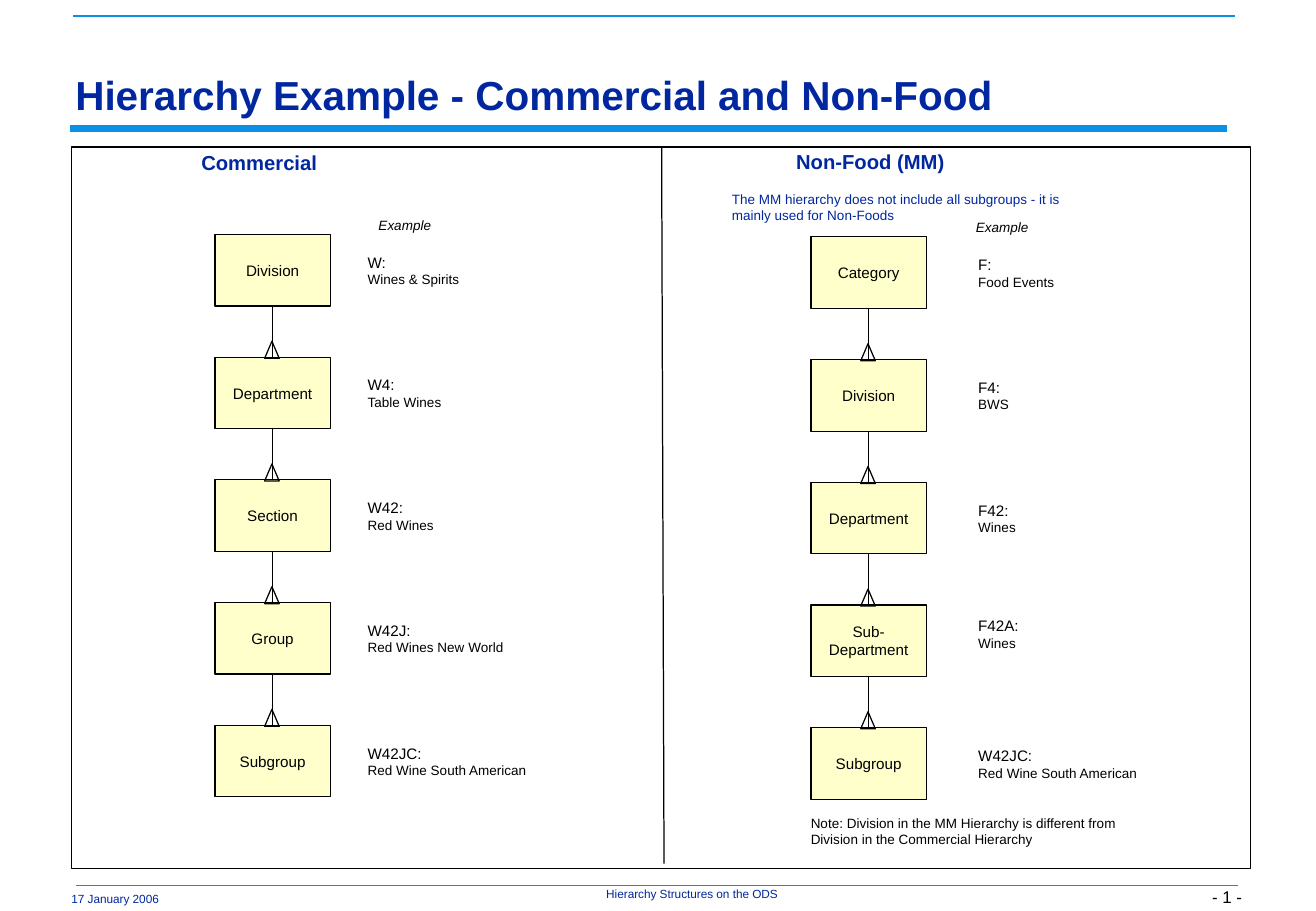
from lxml.etree import SubElement
from pptx import Presentation
from pptx.dml.color import RGBColor
from pptx.enum.shapes import MSO_CONNECTOR as CONN, MSO_SHAPE as SHAPE
from pptx.enum.text import MSO_ANCHOR as ANCHOR, PP_ALIGN as ALIGN
from pptx.oxml.ns import qn
from pptx.util import Pt

PX = 9144  # EMU per px, 100 px to the inch
COLORS = {"ink": "000000", "navy": "00279F", "sky": "0A91E6", "box": "FFFFCC"}
FONT = "Arial"
BOX_W, BOX_H, STEP = 95, 59, 101
TRI_W, TRI_H = 12, 14

COMMERCIAL = [
    ("Division", "W:", "Wines & Spirits"),
    ("Department", "W4:", "Table Wines"),
    ("Section", "W42:", "Red Wines"),
    ("Group", "W42J:", "Red Wines New World"),
    ("Subgroup", "W42JC:", "Red Wine South American"),
]
NON_FOOD = [
    ("Category", "F:", "Food Events"),
    ("Division", "F4:", "BWS"),
    ("Department", "F42:", "Wines"),
    ("Sub-Department", "F42A:", "Wines"),
    ("Subgroup", "W42JC:", "Red Wine South American"),
]


def rgb(name):
    return RGBColor.from_string(COLORS[name])


class Deck:
    def __init__(self, width, height):
        self.prs = Presentation()
        self.prs.slide_width, self.prs.slide_height = width * PX, height * PX
        self.s = self.prs.slides.add_slide(self.prs.slide_layouts[5])

    def fill_text(self, tf, lines, color="ink", align=ALIGN.LEFT, anchor=ANCHOR.MIDDLE,
                  margins=(10, 5), bold=False, italic=False, spacing=None):
        """Fill a text frame with (text, size) lines, one paragraph each."""
        tf.word_wrap = True
        tf.vertical_anchor = anchor
        tf.margin_left = tf.margin_right = margins[0] * PX
        tf.margin_top = tf.margin_bottom = margins[1] * PX
        for i, (text, size) in enumerate(lines):
            p = tf.add_paragraph() if i else tf.paragraphs[0]
            p.alignment = align
            p.space_before = Pt(0)
            if spacing:
                p.line_spacing = spacing
            r = p.add_run()
            r.text = text
            f = r.font
            f.name, f.size, f.bold, f.italic = FONT, Pt(size), bold, italic
            f.color.rgb = rgb(color)

    def title(self, x, y, w, h, text):
        sp = self.s.shapes.title
        sp.left, sp.top, sp.width, sp.height = (v * PX for v in (x, y, w, h))
        self.fill_text(sp.text_frame, [(text, 24)], "navy", anchor=ANCHOR.BOTTOM,
                       margins=(7, 3), bold=True, spacing=0.97)

    def text(self, x, y, w, h, *lines, **style):
        sp = self.s.shapes.add_textbox(x * PX, y * PX, w * PX, h * PX)
        self.fill_text(sp.text_frame, lines, **style)

    def shape(self, kind, x, y, w, h, fill=None):
        sp = self.s.shapes.add_shape(kind, x * PX, y * PX, w * PX, h * PX)
        sp.shadow.inherit = False
        if fill:
            sp.fill.solid()
            sp.fill.fore_color.rgb = rgb(fill)
        else:
            sp.fill.background()
        sp.line.color.rgb = rgb("ink")
        sp.line.width = Pt(0.75)
        return sp

    def line(self, x1, y1, x2, y2, color="ink", width=0.75):
        c = self.s.shapes.add_connector(CONN.STRAIGHT, x1 * PX, y1 * PX, x2 * PX, y2 * PX)
        c.line.color.rgb = rgb(color)
        c.line.width = Pt(width)
        SubElement(c._element.spPr, qn("a:effectLst"))
        return c

    def link(self, upper, lower):
        c = self.line(0, 0, 0, 0)
        c.begin_connect(upper, 2)
        c.end_connect(lower, 0)

    def hierarchy(self, x, top, label_x, levels, label_shifts):
        """Draw a column of linked level boxes, each with its example."""
        upper = None
        for i, (level, code, name) in enumerate(levels):
            y = top + i * STEP
            box = self.shape(SHAPE.RECTANGLE, x, y, BOX_W, BOX_H, "box")
            self.fill_text(box.text_frame, [(level, 9)], align=ALIGN.CENTER)
            if upper:
                self.link(upper, box)
                self.shape(SHAPE.ISOSCELES_TRIANGLE, x + (BOX_W - TRI_W) // 2,
                           y - TRI_H + 1, TRI_W, TRI_H)
            self.text(label_x, y + 10 + label_shifts.get(level, 0), 170, 39,
                      (code, 9), (name, 8))
            upper = box


def main():
    d = Deck(1084, 750)

    d.line(60, 13, 1017, 13, "sky", 1)
    d.line(58, 106, 1011, 106, "sky", 4)
    d.line(63, 729, 1020, 729, "sky", 1)
    d.text(49, 729, 110, 22, ("17 January 2006", 7), color="navy")
    d.text(494, 731, 152, 11, ("Hierarchy Structures on the ODS", 7), color="navy",
           align=ALIGN.CENTER, anchor=ANCHOR.TOP, margins=(0, 0), spacing=0.9)
    d.text(970, 711, 60, 39, ("- 1 -", 10), align=ALIGN.RIGHT,
           anchor=ANCHOR.BOTTOM, margins=(7, 3))

    d.title(55, 58, 963, 44, "Hierarchy Example - Commercial and Non-Food")
    d.shape(SHAPE.RECTANGLE, 59, 121, 971, 594)
    d.line(545, 121, 547, 711)

    d.text(156, 119, 182, 30, ("Commercial", 12), color="navy", bold=True)
    d.text(646, 118, 182, 30, ("Non-Food (MM)", 12), color="navy", bold=True)
    d.text(593, 152, 293, 37, ("The MM hierarchy does not include all subgroups - "
                               "it is mainly used for Non-Foods", 8), color="navy")
    for x, y in ((291, 173), (783, 175)):
        d.text(x, y, 85, 24, ("Example", 8), align=ALIGN.CENTER, italic=True)

    d.hierarchy(177, 193, 293, COMMERCIAL, {})
    d.hierarchy(668, 195, 796, NON_FOOD, {"Sub-Department": -6})
    d.text(658, 666, 278, 37, ("Note: Division in the MM Hierarchy is different from "
                               "Division in the Commercial Hierarchy", 8))

    d.prs.save("out.pptx")


if __name__ == "__main__":
    main()
